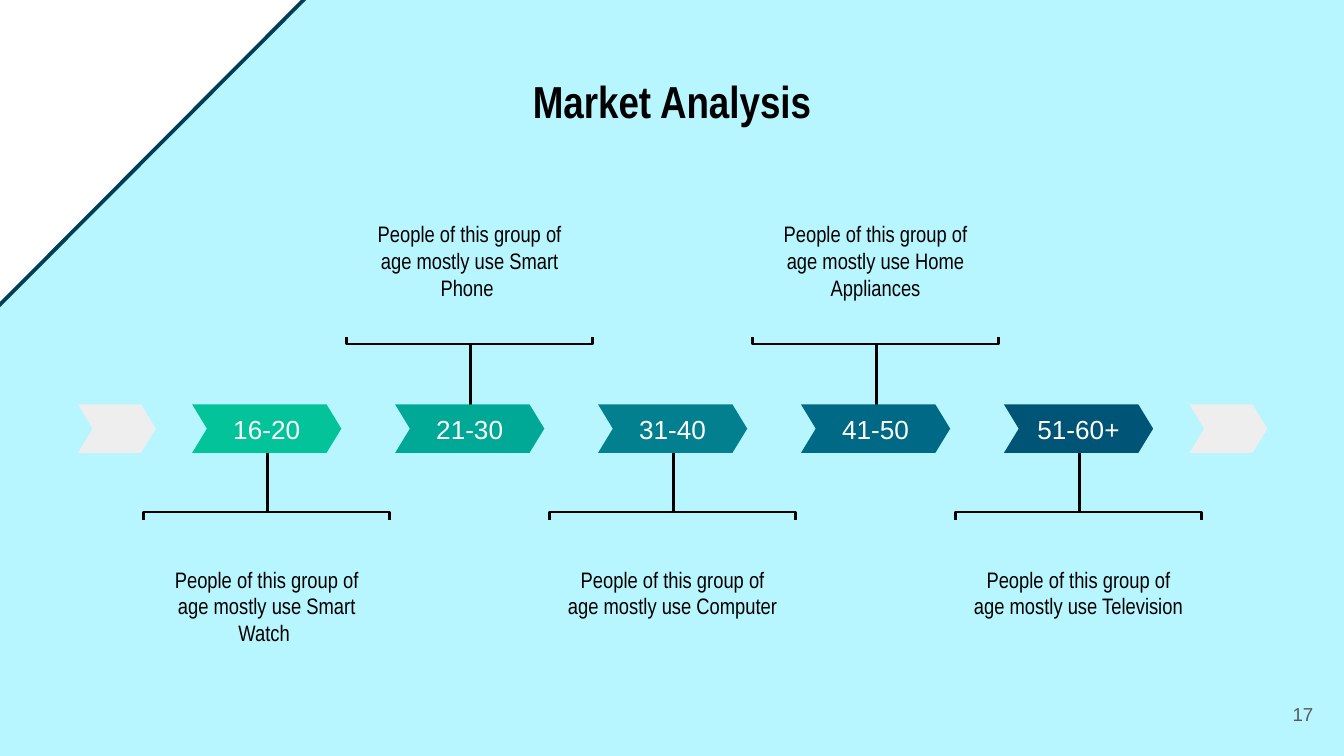
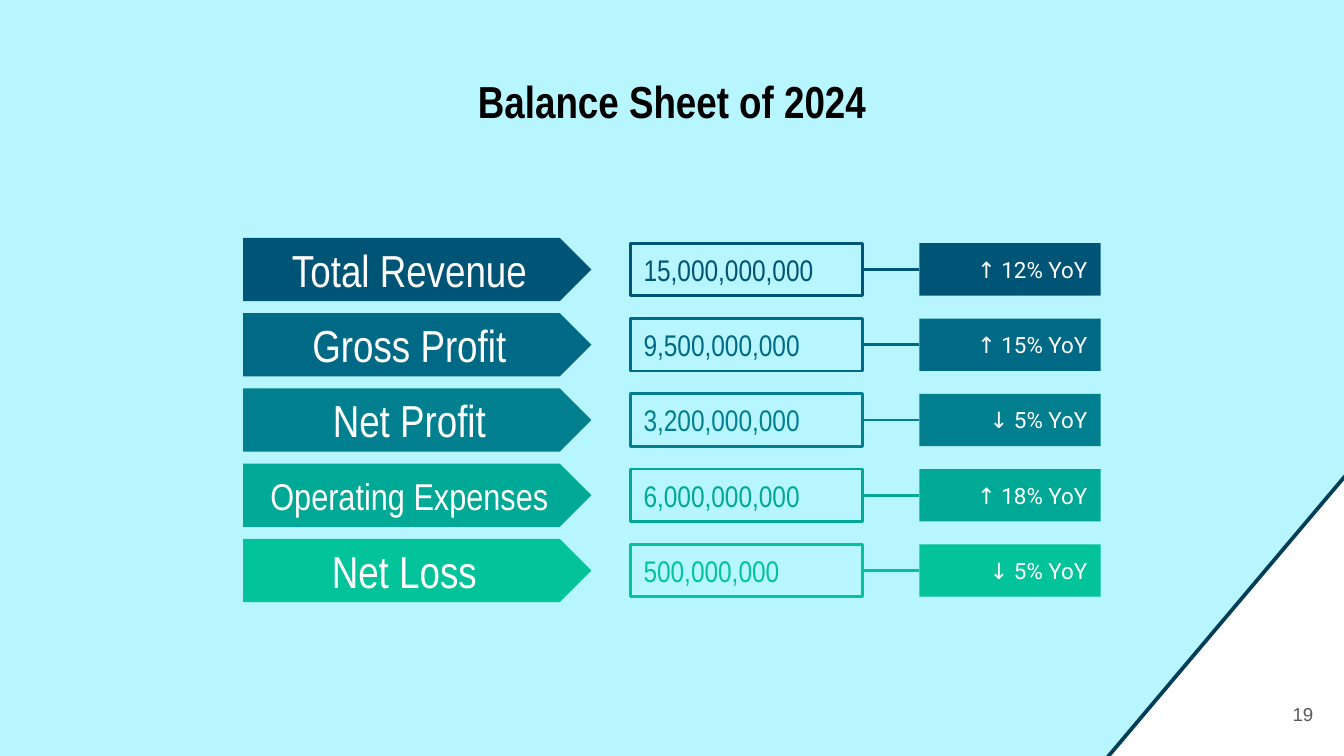
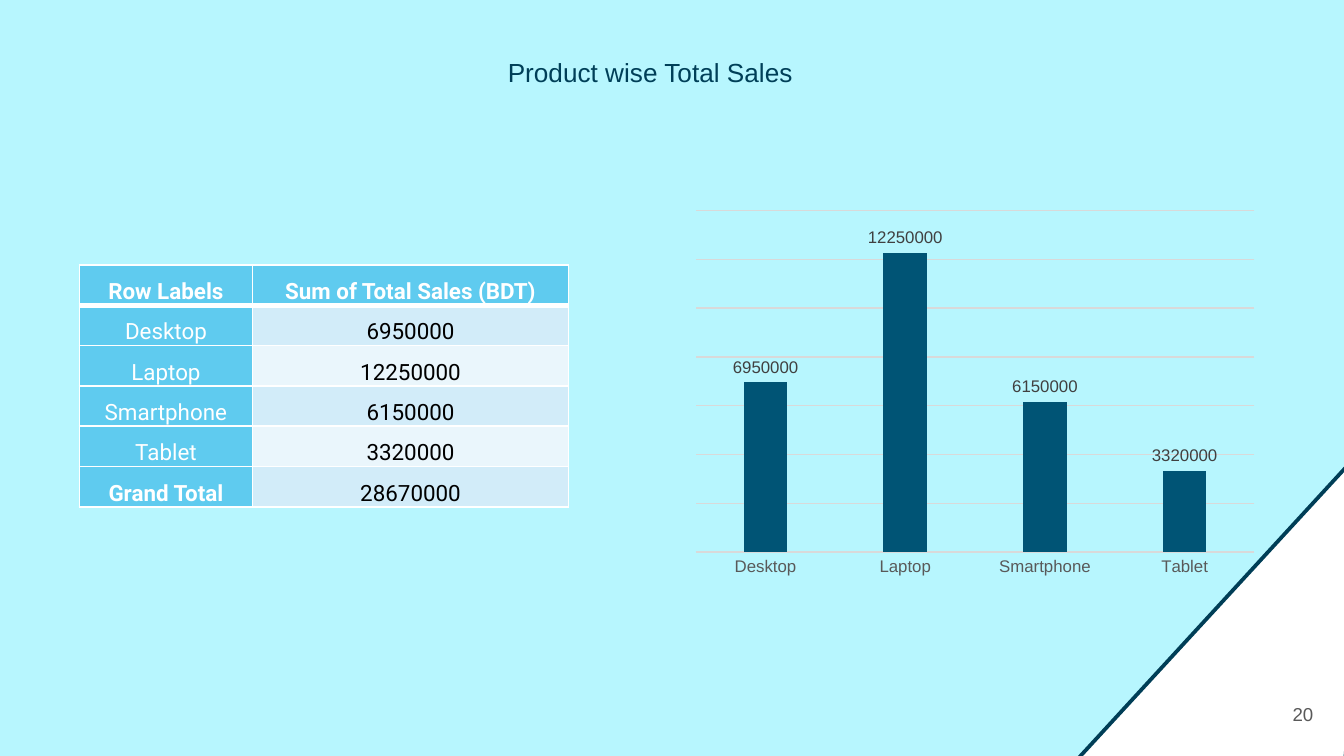
from lxml import etree
from pptx import Presentation
from pptx.chart import data as chart_data
from pptx.dml.color import RGBColor
from pptx.enum import chart as chart_enum, shapes, text
from pptx.oxml import ns
from pptx.util import Inches, Pt

SKY = RGBColor(0xB7, 0xF6, 0xFE)
WHITE = RGBColor(0xFF, 0xFF, 0xFF)
BLACK = RGBColor(0x00, 0x00, 0x00)
NAVY = RGBColor(0x00, 0x3E, 0x57)
HEADING = RGBColor(0x00, 0x3F, 0x58)
DEEP = RGBColor(0x00, 0x54, 0x75)
OCEAN = RGBColor(0x00, 0x69, 0x85)
TEAL = RGBColor(0x02, 0x80, 0x90)
JADE = RGBColor(0x00, 0xA8, 0x96)
MINT = RGBColor(0x02, 0xC3, 0x9A)
PALE = RGBColor(0xEE, 0xEE, 0xEE)
GRAY = RGBColor(0x59, 0x59, 0x59)
DARK_GRAY = RGBColor(0x40, 0x40, 0x40)
GRID = RGBColor(0xD9, 0xD9, 0xD9)
TABLE_BLUE = RGBColor(0x5F, 0xCB, 0xEF)
BAND_DARK = RGBColor(0xD2, 0xEC, 0xF9)
BAND_LIGHT = RGBColor(0xEA, 0xF6, 0xFC)

SANS, NARROW, ROBOTO = "Arial", "Arial Narrow", "Roboto"
LEFT, CENTER, RIGHT = text.PP_ALIGN.LEFT, text.PP_ALIGN.CENTER, text.PP_ALIGN.RIGHT
TOP, MIDDLE = text.MSO_ANCHOR.TOP, text.MSO_ANCHOR.MIDDLE
SHAPE = shapes.MSO_SHAPE


def set_font(font, size, color, name=SANS, bold=False):
    font.size, font.name, font.bold = Pt(size), name, bold
    font.color.rgb = color


def write(frame, words, size=12, color=WHITE, name=SANS, bold=False,
          align=CENTER, anchor=MIDDLE, inset=0.1):
    frame.word_wrap = True
    frame.vertical_anchor = anchor
    frame.margin_left = frame.margin_right = Inches(0.1)
    frame.margin_top = frame.margin_bottom = Inches(inset)
    para = frame.paragraphs[0]
    para.alignment = align
    span = para.add_run()
    span.text = words
    set_font(span.font, size, color, name, bold)


def add_label(page, words, left, top, width, height, **style):
    box = page.shapes.add_textbox(Inches(left), Inches(top), Inches(width), Inches(height))
    write(box.text_frame, words, **style)


def paint(shape, fill=None, line=None, weight=1.5):
    shape.shadow.inherit = False
    if fill is None:
        shape.fill.background()
    else:
        shape.fill.solid()
        shape.fill.fore_color.rgb = fill
    if line is None:
        shape.line.fill.background()
    else:
        shape.line.color.rgb = line
        shape.line.width = Pt(weight)


def add_block(page, kind, left, top, width, height, adjust=None, **colors):
    shape = page.shapes.add_shape(kind, Inches(left), Inches(top), Inches(width), Inches(height))
    if adjust is not None:
        shape.adjustments[0] = adjust
    paint(shape, **colors)
    return shape


def add_line(page, x1, y1, x2, y2, color):
    line = page.shapes.add_connector(
        shapes.MSO_CONNECTOR.STRAIGHT, Inches(x1), Inches(y1), Inches(x2), Inches(y2))
    line.line.color.rgb = color
    line.line.width = Pt(1.5)
    etree.SubElement(line._element.spPr, ns.qn("a:effectLst"))
    return line


def add_page(deck):
    page = deck.slides.add_slide(deck.slide_layouts[6])
    page.background.fill.solid()
    page.background.fill.fore_color.rgb = SKY
    return page


def add_title(page, words):
    add_label(page, words, 0.5, 0.45, 9, 0.63, size=24, color=BLACK, name=NARROW,
              bold=True, anchor=TOP)


def add_corner_and_number(page, number, left, top, width, height, turn, peak=0.5):
    corner = add_block(page, SHAPE.ISOSCELES_TRIANGLE, left, top, width, height, peak,
                       fill=WHITE, line=NAVY, weight=2)
    corner.rotation = turn
    add_label(page, str(number), 9.27, 5.1, 0.6, 0.43, size=10, color=GRAY, align=RIGHT)


def add_chevron(page, left, top, width, color):
    return add_block(page, SHAPE.CHEVRON, left, top, width, 0.36, 0.305, fill=color)


def add_age_group(page, left, top, ages, caption, color, above):
    stem_top, bar, tick, caption_top = (0, -0.45, -0.5, -1.47) if above else (0.36, 0.8, 0.86, 1.1)
    bracket_left, width = left - 0.36, 1.83
    middle = left + 0.56
    add_label(page, caption, bracket_left, top + caption_top, width, 0.97,
              color=BLACK, name=NARROW, anchor=TOP)
    add_line(page, middle, top + stem_top, middle, top + bar, BLACK)
    ends = bracket_left, bracket_left + width
    builder = page.shapes.build_freeform(Inches(ends[0]), Inches(top + tick))
    builder.add_line_segments(
        [(Inches(ends[0]), Inches(top + bar)), (Inches(ends[1]), Inches(top + bar)),
         (Inches(ends[1]), Inches(top + tick))], close=False)
    paint(builder.convert_to_shape(), line=BLACK)
    write(add_chevron(page, left, top, 1.11, color).text_frame, ages, size=14)


def build_market_analysis(deck):
    page = add_page(deck)
    add_title(page, "Market Analysis")
    groups = [("16-20", "Smart Watch ", MINT), ("21-30", "Smart Phone ", JADE),
              ("31-40", "Computer", TEAL), ("41-50", "Home Appliances", OCEAN),
              ("51-60+", "Television", DEEP)]
    top = 3.01
    for index, (ages, product, color) in enumerate(groups):
        add_age_group(page, 1.43 + 1.51 * index, top, ages,
                      f"People of this group of age mostly use {product}",
                      color, above=index % 2 == 1)
    for left in (0.58, 8.85):
        add_chevron(page, left, top, 0.58, PALE)
    add_corner_and_number(page, 17, -1.19, -0.32, 3.37, 1.73, 314.9, 0.498)


def add_balance_row(page, left, top, item, amount, change, color, size=24):
    arrow = add_block(page, SHAPE.PENTAGON, left, top, 2.59, 0.47, 0.5, fill=color)
    write(arrow.text_frame, item, size=size, name=NARROW)
    amount_box = add_block(page, SHAPE.RECTANGLE, left + 2.88, top + 0.04, 1.73, 0.39, line=color)
    write(amount_box.text_frame, amount, size=16, color=color, name=NARROW, align=LEFT)
    change_box = add_block(page, SHAPE.RECTANGLE, left + 5.03, top + 0.04, 1.35, 0.39, fill=color)
    write(change_box.text_frame, change, name=ROBOTO, align=RIGHT)
    link = add_line(page, left + 4.61, top + 0.23, left + 5.03, top + 0.23, color)
    link.begin_connect(amount_box, 3)
    link.end_connect(change_box, 1)


def build_balance_sheet(deck):
    page = add_page(deck)
    add_title(page, "Balance Sheet of 2024")
    rows = [("Total Revenue", "15,000,000,000", "↑ 12% YoY", DEEP),
            ("Gross Profit", "9,500,000,000", "↑ 15% YoY", OCEAN),
            ("Net Profit", "3,200,000,000", "↓ 5% YoY", TEAL),
            ("Operating Expenses", "6,000,000,000", "↑ 18% YoY", JADE, 20),
            ("Net Loss ", "500,000,000", "↓ 5% YoY", MINT)]
    for index, row in enumerate(rows):
        add_balance_row(page, 1.81, 1.77 + 0.56 * index, *row)
    add_corner_and_number(page, 19, 8, 4.36, 3.41, 1.67, 130.2)


def set_borders(cell, **weights):
    properties = cell._tc.get_or_add_tcPr()
    for position, side in enumerate("LRTB"):
        edge = etree.Element(ns.qn(f"a:ln{side}"), w=str(Pt(weights.get(side, 1))))
        fill = etree.SubElement(edge, ns.qn("a:solidFill"))
        etree.SubElement(fill, ns.qn("a:srgbClr"), val=str(WHITE))
        properties.insert(position, edge)


def add_sales_table(page, left, top, sales):
    rows = [("Row Labels", "Sum of Total Sales (BDT)"), *sales.items(),
            ("Grand Total", sum(sales.values()))]
    table = page.shapes.add_table(len(rows), 2, Inches(left), Inches(top),
                                  Inches(3.64), Inches(1.61)).table
    for column, width in zip(table.columns, (1.29, 2.35)):
        column.width = Inches(width)
    for r, row in enumerate(rows):
        for c, value in enumerate(row):
            cell = table.cell(r, c)
            heading = r == 0 or c == 0
            band = BAND_DARK if r % 2 else BAND_LIGHT
            cell.fill.solid()
            cell.fill.fore_color.rgb = TABLE_BLUE if heading else band
            cell.vertical_anchor = MIDDLE
            cell.margin_left = cell.margin_right = Inches(0.07)
            cell.margin_top = cell.margin_bottom = 0
            para = cell.text_frame.paragraphs[0]
            para.alignment, para.line_spacing, para.space_after = CENTER, 1.5, Pt(6)
            span = para.add_run()
            span.text = str(value)
            set_font(span.font, 12, WHITE if heading else BLACK, ROBOTO,
                     bold=r == 0 or (c == 0 and r == len(rows) - 1))
            set_borders(cell, T=3 if r == 1 else 1, B=3 if r == 0 else 1)


def add_sales_chart(page, left, top, sales):
    values = chart_data.CategoryChartData()
    values.categories = list(sales)
    values.add_series("Series 1", list(sales.values()))
    chart = page.shapes.add_chart(
        chart_enum.XL_CHART_TYPE.COLUMN_CLUSTERED, Inches(left), Inches(top),
        Inches(4.33), Inches(2.84), values).chart
    chart.has_legend = chart.has_title = False
    set_font(chart.font, 10, BLACK)

    plot = chart.plots[0]
    plot.vary_by_categories = False
    plot.gap_width, plot.overlap = 219, -27
    series = plot.series[0]
    series.format.fill.solid()
    series.format.fill.fore_color.rgb = DEEP
    labels = series.data_labels
    labels.show_value = True
    labels.position = chart_enum.XL_LABEL_POSITION.OUTSIDE_END
    set_font(labels.font, 9, DARK_GRAY)

    names, amounts = chart.category_axis, chart.value_axis
    names.major_tick_mark = chart_enum.XL_TICK_MARK.NONE
    set_font(names.tick_labels.font, 9, GRAY)
    amounts.visible = False
    amounts.has_major_gridlines = True
    for line in (names.format.line, amounts.major_gridlines.format.line):
        line.color.rgb = GRID
        line.width = Pt(0.75)


def build_product_sales(deck):
    page = add_page(deck)
    add_label(page, "Product wise Total Sales", 3.68, 0.37, 3.58, 0.57, size=14,
              color=HEADING, align=LEFT, anchor=TOP, inset=0.05)
    sales = {"Desktop": 6950000, "Laptop": 12250000, "Smartphone": 6150000, "Tablet": 3320000}
    add_sales_chart(page, 5.09, 1.51, sales)
    add_sales_table(page, 0.59, 1.97, sales)
    add_corner_and_number(page, 20, 7.9, 4.28, 3.41, 1.5, 132.6, 0.566)


def main():
    deck = Presentation()
    deck.slide_width = Inches(10)
    deck.slide_height = deck.slide_width * 9 // 16
    build_market_analysis(deck)
    build_balance_sheet(deck)
    build_product_sales(deck)
    deck.save("out.pptx")


if __name__ == "__main__":
    main()
